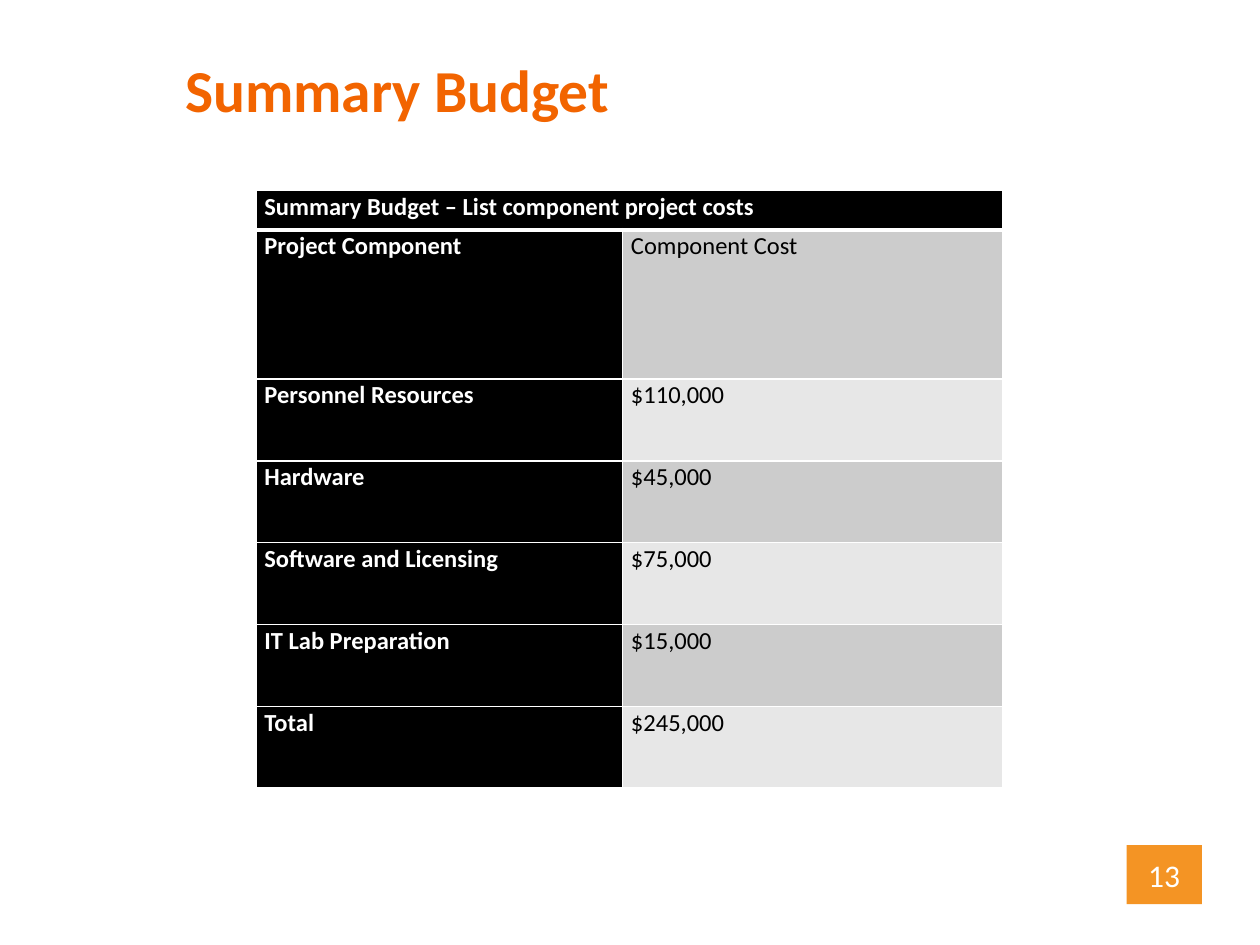
import pptx
import pptx.dml.color
import pptx.enum.shapes
import pptx.enum.text
import pptx.oxml
import pptx.oxml.ns
import pptx.util

Cm = pptx.util.Cm
Pt = pptx.util.Pt
RGBColor = pptx.dml.color.RGBColor
ALIGN = pptx.enum.text.PP_ALIGN
MIDDLE = pptx.enum.text.MSO_ANCHOR.MIDDLE

FONT = "Calibri"
WHITE = RGBColor(0xFF, 0xFF, 0xFF)
BLACK = RGBColor(0x00, 0x00, 0x00)
TITLE_ORANGE = RGBColor(0xF2, 0x64, 0x00)
BADGE_ORANGE = RGBColor(0xF4, 0x94, 0x24)
BANDS = (RGBColor(0xE7, 0xE7, 0xE7), RGBColor(0xCC, 0xCC, 0xCC))

TABLE_HEADING = "Summary Budget – List component project costs"
BUDGET = [
    ("Project Component", "Component Cost"),
    ("Personnel Resources", "$110,000"),
    ("Hardware", "$45,000"),
    ("Software and Licensing", "$75,000"),
    ("IT Lab Preparation", "$15,000"),
    ("Total", "$245,000"),
]
COLUMN_WIDTHS = (Cm(7.39), Cm(7.67))
ROW_HEIGHTS = (Cm(0.76), Cm(3)) + (Cm(1.65),) * 5


def set_values(target, values):
    for name, value in values.items():
        setattr(target, name, value)


def write_text(text_frame, text, size, color, bold=False, **paragraph_format):
    paragraph = text_frame.paragraphs[0]
    set_values(paragraph, paragraph_format)
    run = paragraph.add_run()
    run.text = text
    set_values(run.font, {"name": FONT, "size": Pt(size), "bold": bold})
    run.font.color.rgb = color


def add_title(slide, box, text):
    title = slide.shapes.title
    title.left, title.top, title.width, title.height = box
    set_values(title.text_frame, {"vertical_anchor": MIDDLE, "word_wrap": True})
    write_text(title.text_frame, text, 34, TITLE_ORANGE, bold=True,
               alignment=ALIGN.LEFT, line_spacing=0.9)


def set_borders(cell, widths):
    """Draw white borders, with the widths in points for left, right, top, bottom."""
    properties = cell._tc.get_or_add_tcPr()
    for position, (side, width) in enumerate(zip("LRTB", widths)):
        border = pptx.oxml.parse_xml(
            f'<a:ln{side} {pptx.oxml.ns.nsdecls("a")} w="{Pt(width)}">'
            f'<a:solidFill><a:srgbClr val="{WHITE}"/></a:solidFill></a:ln{side}>')
        properties.insert(position, border)


def format_cell(cell, text, fill, color, bold, borders):
    sides = ("left", "right", "top", "bottom")
    set_values(cell, {f"margin_{side}": Cm(0.17) for side in sides})
    cell.fill.solid()
    cell.fill.fore_color.rgb = fill
    set_borders(cell, borders)
    write_text(cell.text_frame, text, 14, color, bold, alignment=ALIGN.JUSTIFY,
               line_spacing=Pt(13), space_after=Pt(8))


def add_budget_table(slide, left, top):
    table = slide.shapes.add_table(
        len(ROW_HEIGHTS), len(COLUMN_WIDTHS), left, top,
        sum(COLUMN_WIDTHS), sum(ROW_HEIGHTS)).table
    for column, width in zip(table.columns, COLUMN_WIDTHS):
        column.width = width
    for row, height in zip(table.rows, ROW_HEIGHTS):
        row.height = height

    heading = table.cell(0, 0)
    heading.merge(table.cell(0, 1))
    format_cell(heading, TABLE_HEADING, BLACK, WHITE, True, (1, 1, 1, 3))
    set_borders(table.cell(0, 1), (1, 1, 1, 3))
    for row, (component, cost) in enumerate(BUDGET, start=1):
        borders = (1, 1, 3 if row == 1 else 1, 1)
        format_cell(table.cell(row, 0), component, BLACK, WHITE, True, borders)
        format_cell(table.cell(row, 1), cost, BANDS[row % 2], BLACK, False, borders)


def add_page_badge(slide, box, number):
    badge = slide.shapes.add_shape(
        pptx.enum.shapes.MSO_SHAPE.RECTANGLE, *box)
    badge.shadow.inherit = False
    badge.fill.solid()
    badge.fill.fore_color.rgb = BADGE_ORANGE
    badge.line.fill.background()
    badge.text_frame.vertical_anchor = MIDDLE
    write_text(badge.text_frame, number, 18, WHITE, alignment=ALIGN.CENTER)


def main():
    presentation = pptx.Presentation()
    set_values(presentation, {"slide_width": Cm(25.4), "slide_height": Cm(19.05)})
    title_only = presentation.slide_layouts[5]
    slide = presentation.slides.add_slide(title_only)
    add_title(slide, (Cm(3.48), Cm(1.09), Cm(12.7), Cm(1.57)), "Summary Budget")
    add_budget_table(slide, Cm(5.16), Cm(3.84))
    add_page_badge(slide, (Cm(22.71), Cm(17.04), Cm(1.52), Cm(1.19)), "13")
    presentation.save("out.pptx")


if __name__ == "__main__":
    main()
